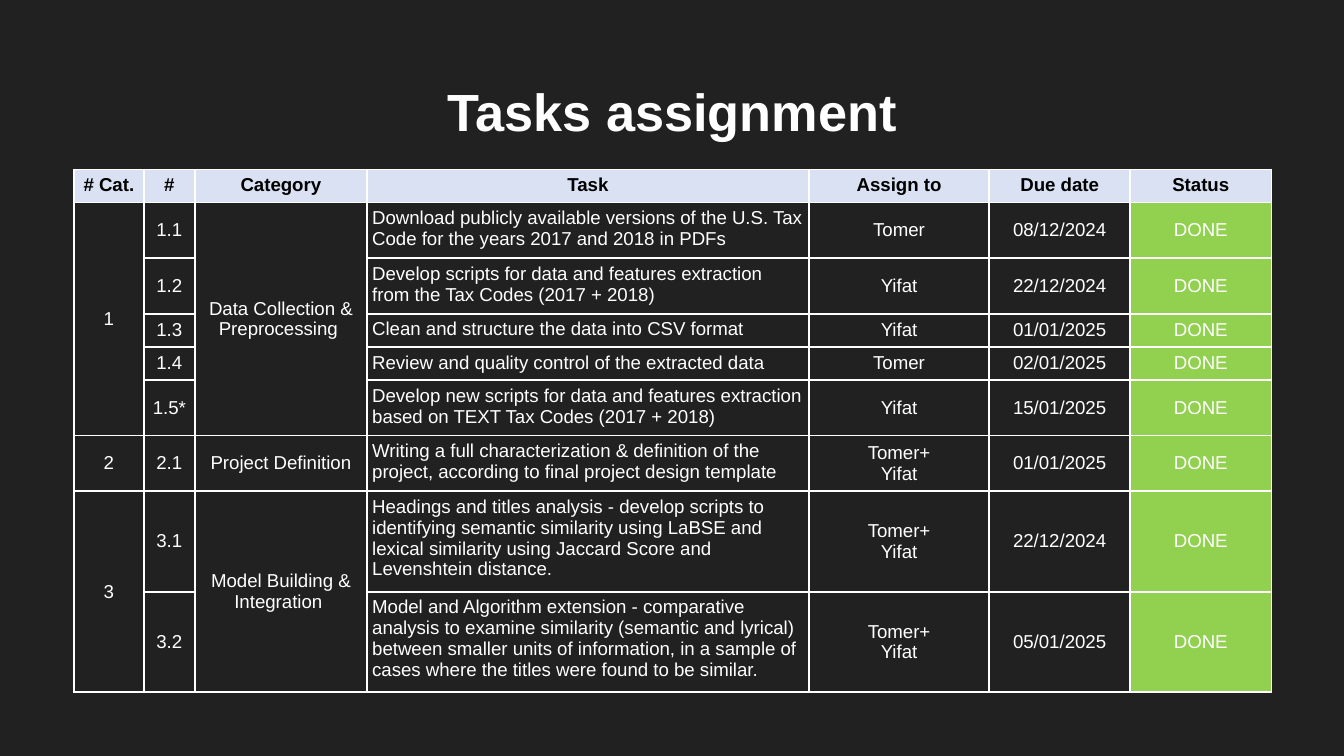
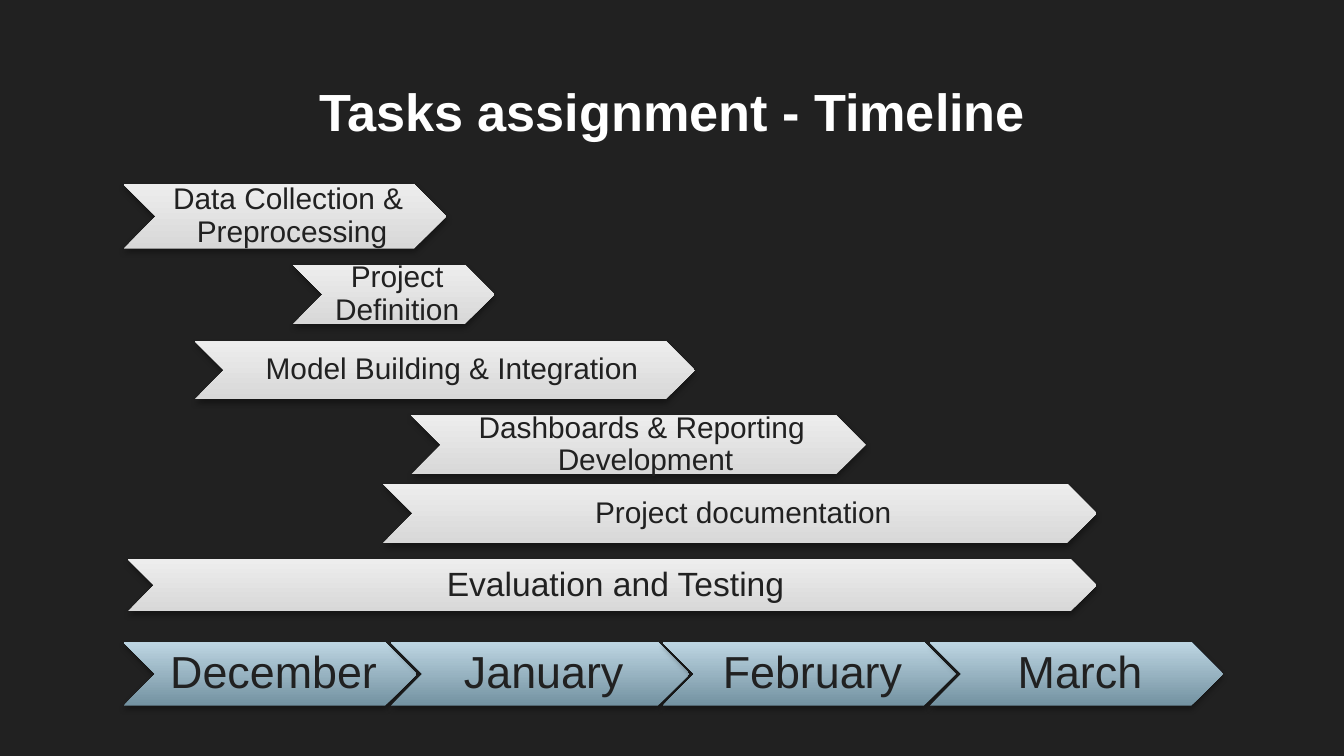
import pptx
import pptx.util
from pptx.dml.color import RGBColor
from pptx.enum.shapes import MSO_SHAPE
from pptx.enum.text import MSO_ANCHOR, PP_ALIGN
from pptx.oxml import parse_xml
from pptx.oxml.ns import nsdecls
from pptx.util import Inches

# Shared look
FONT = "Arial"
DARK = RGBColor(0x21, 0x21, 0x21)
WHITE = RGBColor(0xFF, 0xFF, 0xFF)
BLACK = RGBColor(0x00, 0x00, 0x00)
HEADER = RGBColor(0xD9, 0xE1, 0xF2)
GREEN = RGBColor(0x92, 0xD0, 0x50)
GREY_GRADIENT = (RGBColor(0xD8, 0xD8, 0xD8), RGBColor(0xED, 0xED, 0xED))
BLUE_GRADIENT = (RGBColor(0x73, 0x92, 0xA1), RGBColor(0xBD, 0xD5, 0xE2))

# Task table
HEADINGS = ("# Cat.", "#", "Category", "Task", "Assign to", "Due date", "Status")
COL_WIDTHS = (0.52, 0.38, 1.28, 3.29, 1.34, 1.05, 1.05)
TASK_COL, STATUS_COL = 3, 6
LINE_HEIGHT, CELL_MARGIN = 0.155, 0.04
BOTH = "Tomer+\vYifat"
# Category name, then its tasks: text, lines of text, assignee, due date
CATEGORIES = (
    ("Data Collection & Preprocessing ", (
        ("1.1", "Download publicly available versions of the U.S. Tax Code for the "
         "years 2017 and 2018 in PDFs", 2, "Tomer", "08/12/2024"),
        ("1.2", "Develop scripts for data and features extraction from the Tax "
         "Codes (2017 + 2018)", 2, "Yifat", "22/12/2024"),
        ("1.3", "Clean and structure the data into CSV format", 1, "Yifat", "01/01/2025"),
        ("1.4", "Review and quality control of the extracted data", 1, "Tomer", "02/01/2025"),
        ("1.5*", "Develop new scripts for data and features extraction based on "
         "TEXT Tax Codes (2017 + 2018)", 2, "Yifat", "15/01/2025"),
    )),
    ("Project Definition", (
        ("2.1", "Writing a full characterization & definition of the project, "
         "according to final project design template", 2, BOTH, "01/01/2025"),
    )),
    ("Model Building & Integration ", (
        ("3.1", "Headings and titles analysis - develop scripts to identifying "
         "semantic similarity using LaBSE and lexical similarity using Jaccard "
         "Score and Levenshtein distance.", 4, BOTH, "22/12/2024"),
        ("3.2", "Model and Algorithm extension - comparative analysis to examine "
         "similarity (semantic and lyrical) between smaller units of information, "
         "in a sample of cases where the titles were found to be similar.",
         4, BOTH, "05/01/2025"),
    )),
)

# Timeline: text, left, top, width, height, font size
PHASES = (
    ("Data Collection & Preprocessing ", 0.92, 1.37, 2.4, 0.48, 16),
    ("Project Definition", 2.18, 1.97, 1.5, 0.44, 16),
    ("Model Building & Integration ", 1.45, 2.54, 3.72, 0.43, 16),
    ("Dashboards & Reporting Development ", 3.06, 3.09, 3.38, 0.44, 16),
    ("Project documentation", 2.85, 3.6, 5.31, 0.44, 16),
    ("Evaluation and Testing", 0.95, 4.16, 7.21, 0.39, 18),
)
MONTHS = (("December", 0.92, 2.18), ("January", 2.91, 2.22),
          ("February", 4.93, 2.18), ("March", 6.92, 2.18))


def style_paragraph(p, size, color, bold=False, align=PP_ALIGN.CENTER):
    p.alignment = align
    p.font.name = FONT
    p.font.size = pptx.util.Pt(size)
    p.font.bold = bold
    p.font.color.rgb = color


def add_slide(prs, title):
    s = prs.slides.add_slide(prs.slide_layouts[6])
    s.background.fill.solid()
    s.background.fill.fore_color.rgb = DARK
    tf = s.shapes.add_textbox(Inches(0.34), Inches(0.49), Inches(9.32), Inches(0.63)).text_frame
    tf.word_wrap = True
    tf.margin_left = tf.margin_right = tf.margin_top = tf.margin_bottom = Inches(0.1)
    tf.text = title
    style_paragraph(tf.paragraphs[0], 28, WHITE, bold=True)
    return s


def add_borders(cell):
    tc_pr = cell._tc.get_or_add_tcPr()
    for i, side in enumerate(("lnL", "lnR", "lnT", "lnB")):
        tc_pr.insert(i, parse_xml(
            f'<a:{side} {nsdecls("a")} w="12700"><a:solidFill>'
            f'<a:srgbClr val="{WHITE}"/></a:solidFill></a:{side}>'))


def fill_cell(cell, text, color=WHITE, fill=None, bold=False,
              align=PP_ALIGN.CENTER, anchor=MSO_ANCHOR.MIDDLE):
    cell.text_frame.text = text
    style_paragraph(cell.text_frame.paragraphs[0], 10, color, bold, align)
    cell.vertical_anchor = anchor
    cell.margin_left = cell.margin_right = Inches(CELL_MARGIN)
    cell.margin_top = cell.margin_bottom = Inches(CELL_MARGIN)
    if fill is None:
        cell.fill.background()
    else:
        cell.fill.solid()
        cell.fill.fore_color.rgb = fill
    add_borders(cell)


def add_task_table(s):
    line_counts = [1] + [task[2] for _, tasks in CATEGORIES for task in tasks]
    heights = [2 * CELL_MARGIN + LINE_HEIGHT * n for n in line_counts]
    table = s.shapes.add_table(len(heights), len(COL_WIDTHS), Inches(0.55), Inches(1.26),
                               Inches(sum(COL_WIDTHS)), Inches(sum(heights))).table
    table.horz_banding = False
    table.first_row = False
    for col, width in zip(table.columns, COL_WIDTHS):
        col.width = Inches(width)
    for row, height in zip(table.rows, heights):
        row.height = Inches(height)

    for c, heading in enumerate(HEADINGS):
        fill_cell(table.cell(0, c), heading, BLACK, HEADER, True, anchor=MSO_ANCHOR.TOP)

    r = 1
    for number, (category, tasks) in enumerate(CATEGORIES, 1):
        first = r
        for task_id, task, _, assignee, due in tasks:
            labels = (str(number), category) if r == first else ("", "")
            values = (labels[0], task_id, labels[1], task, assignee, due, "DONE")
            for c, value in enumerate(values):
                is_task = c == TASK_COL
                fill_cell(table.cell(r, c), value,
                          fill=GREEN if c == STATUS_COL else None,
                          align=PP_ALIGN.LEFT if is_task else PP_ALIGN.CENTER,
                          anchor=MSO_ANCHOR.TOP if is_task else MSO_ANCHOR.MIDDLE)
            r += 1
        if len(tasks) > 1:
            for c in (0, 2):
                table.cell(first, c).merge(table.cell(r - 1, c))


def add_shadow(sp):
    sp.shadow.inherit = False
    sp._element.spPr.find(pptx.oxml.ns.qn("a:effectLst")).append(parse_xml(
        f'<a:outerShdw {nsdecls("a")} blurRad="40000" dist="23000" dir="5400000" '
        'rotWithShape="0"><a:srgbClr val="000000"><a:alpha val="35000"/>'
        '</a:srgbClr></a:outerShdw>'))


def add_chevron(s, text, left, top, width, height, size, gradient):
    sp = s.shapes.add_shape(MSO_SHAPE.CHEVRON, Inches(left), Inches(top),
                            Inches(width), Inches(height))
    sp.fill.gradient()
    sp.fill.gradient_angle = 90
    for stop, color in zip(sp.fill.gradient_stops, gradient):
        stop.color.rgb = color
    sp.line.fill.background()
    add_shadow(sp)
    tf = sp.text_frame
    tf.word_wrap = True
    tf.vertical_anchor = MSO_ANCHOR.MIDDLE
    margin = 0.04 if size > 18 else 0.02
    tf.margin_left = Inches(margin + 0.05)
    tf.margin_right = tf.margin_top = tf.margin_bottom = Inches(margin)
    tf.text = text
    p = tf.paragraphs[0]
    style_paragraph(p, size, DARK)
    p.line_spacing = 0.9
    p._p.get_or_add_pPr().set("rtl", "1")


def main():
    prs = pptx.Presentation()
    prs.slide_width, prs.slide_height = Inches(10), Inches(5.625)

    # Task list
    add_task_table(add_slide(prs, "Tasks assignment"))

    # Timeline
    s = add_slide(prs, "Tasks assignment - Timeline")
    for phase in PHASES:
        add_chevron(s, *phase, GREY_GRADIENT)
    for month, left, width in MONTHS:
        add_chevron(s, month, left, 4.78, width, 0.47, 24, BLUE_GRADIENT)

    prs.save("out.pptx")


if __name__ == "__main__":
    main()
